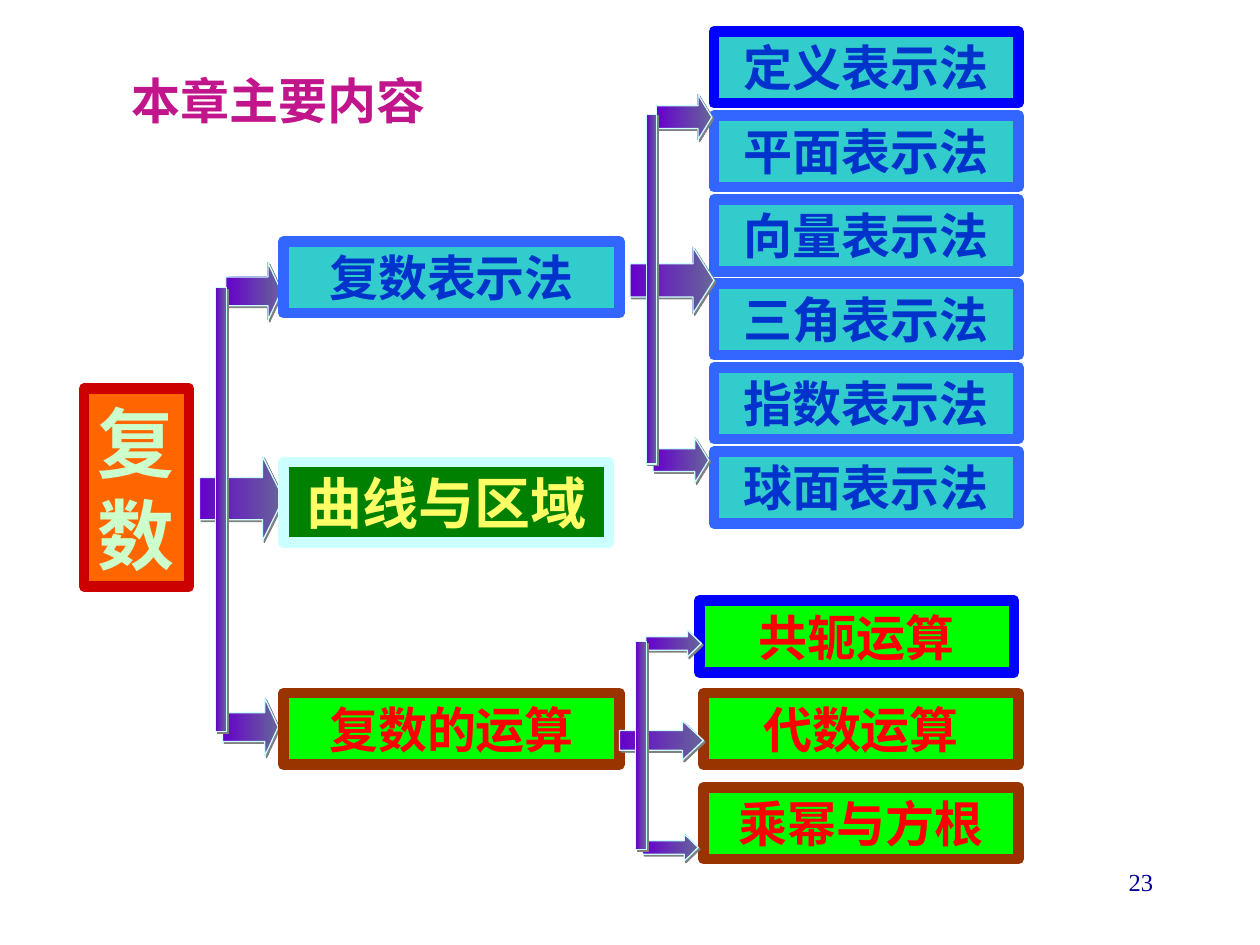
"""Build the chapter overview slide: a tree of topics on complex numbers."""
import pptx
import pptx.dml.color
import pptx.enum.shapes
import pptx.enum.text
import pptx.oxml
import pptx.oxml.ns
import pptx.util

RGB = pptx.dml.color.RGBColor
SHAPES = pptx.enum.shapes.MSO_SHAPE
ALIGN = pptx.enum.text.PP_ALIGN
ANCHOR = pptx.enum.text.MSO_ANCHOR

ORANGE, DARK_RED, MINT = RGB(255, 102, 0), RGB(204, 0, 0), RGB(204, 255, 204)
TEAL, SKY, NAVY = RGB(51, 204, 204), RGB(51, 102, 255), RGB(0, 51, 204)
GREEN, PALE, YELLOW = RGB(0, 128, 0), RGB(204, 255, 255), RGB(255, 255, 102)
LIME, BROWN, RED = RGB(0, 255, 0), RGB(153, 51, 0), RGB(255, 0, 0)
BLUE, MAGENTA, NUMBER = RGB(0, 0, 255), RGB(193, 21, 140), RGB(0, 0, 153)
PURPLE, SLATE = RGB(102, 0, 204), RGB(102, 102, 153)

SHADOW = (
    '<a:outerShdw %s blurRad="0" dist="17780" dir="2700000" algn="ctr" rotWithShape="0">'
    '<a:srgbClr val="808080"/></a:outerShdw>' % pptx.oxml.ns.nsdecls("a")
)


class TopicMap:
    """Draws on one slide, on a grid of 120 columns by 90 rows."""

    FONT = "Times New Roman"
    CELL = pptx.util.Inches(1) / 12
    ROW_HEIGHT = 6.84

    def __init__(self, slide):
        self.slide = slide

    def grid(self, *lengths):
        return [round(length * self.CELL) for length in lengths]

    def label(self, frame, words, size, color, align=ALIGN.CENTER, bold=True, font=FONT):
        frame.word_wrap = True
        paragraph = frame.paragraphs[0]
        paragraph.alignment = align
        run = paragraph.add_run()
        run.text = words
        run.font.size = pptx.util.Pt(size)
        run.font.name = font
        run.font.bold = bold
        run.font.color.rgb = color

    def title(self, words, *place):
        heading = self.slide.shapes.title
        heading.left, heading.top, heading.width, heading.height = self.grid(*place)
        heading.text_frame.vertical_anchor = ANCHOR.MIDDLE
        self.label(heading.text_frame, words, 28, MAGENTA)

    def number(self, words, *place):
        corner = self.slide.shapes.add_textbox(*self.grid(*place))
        self.label(corner.text_frame, words, 14, NUMBER, ALIGN.RIGHT, False)

    def topic(self, words, column, row, width, colors, height=ROW_HEIGHT, size=28, font=FONT):
        fill, border, ink = colors
        box = self.slide.shapes.add_shape(
            SHAPES.RECTANGLE, *self.grid(column, row, width, height))
        box.shadow.inherit = False
        box.fill.solid()
        box.fill.fore_color.rgb = fill
        box.line.color.rgb = border
        box.line.width = pptx.util.Pt(6)
        box.text_frame.vertical_anchor = ANCHOR.MIDDLE
        self.label(box.text_frame, words, size, ink, font=font)

    def bracket_part(self, group, kind, *place):
        part = group.shapes.add_shape(kind, *self.grid(*place))
        part.fill.gradient()
        part.fill.gradient_angle = 0
        for stop, color in zip(part.fill.gradient_stops, (PURPLE, SLATE)):
            stop.color.rgb = color
        part.line.color.rgb = PALE
        part.line.width = pptx.util.Pt(0.75)
        part.shadow.inherit = False
        effects = part._element.spPr.find(pptx.oxml.ns.qn("a:effectLst"))
        effects.append(pptx.oxml.parse_xml(SHADOW))
        return part

    def bracket(self, column, row, height):
        group = self.slide.shapes.add_group_shape()
        branch, stem = 0.117 * height, 0.171 * height
        arrows = (
            (2.2, height - branch, 5.3, branch),
            (2.5, 0, 5.3, branch),
            (0, 0.393 * height, 8, stem),
        )
        for across, down, width, thickness in arrows:
            arrow = self.bracket_part(
                group, SHAPES.RIGHT_ARROW, column + across, row + down, width, thickness)
            arrow.adjustments[1] = 0.25 * width / thickness
        self.bracket_part(
            group, SHAPES.RECTANGLE, column + 1.55, row + 0.051 * height, 1, 0.9 * height)


deck = pptx.Presentation()
deck.slide_width, deck.slide_height = pptx.util.Inches(10), pptx.util.Inches(7.5)
chapter = TopicMap(deck.slides.add_slide(deck.slide_layouts[5]))

chapter.title("本章主要内容", 10, 5, 33, 9)
chapter.topic("复数", 8, 37, 10, (ORANGE, DARK_RED, MINT), 18.84, 44, "Noto Sans CJK SC")
chapter.bracket(19, 25, 47)

chapter.topic("复数表示法", 27, 23, 32, (TEAL, SKY, NAVY))
chapter.topic("曲线与区域", 27, 44, 31, (GREEN, PALE, YELLOW), 7.68, 32)
chapter.topic("复数的运算", 27, 66, 32, (LIME, BROWN, RED))

forms = ("定义", "平面", "向量", "三角", "指数", "球面")
for order, form in enumerate(forms):
    border = SKY if order else BLUE
    chapter.topic(form + "表示法", 68, 3 + 8 * order, 29, (TEAL, border, NAVY))
chapter.bracket(60, 9, 37)

operations = (
    ("共轭运算", 66.6, 57.2, BLUE),
    ("代数运算", 67, 66, BROWN),
    ("乘幂与方根", 67, 75, BROWN),
)
for operation, column, row, border in operations:
    chapter.topic(operation, column, row, 30, (LIME, border, RED))
chapter.bracket(59, 60, 22)

chapter.number("23", 86, 82, 25, 6)
deck.save("out.pptx")
